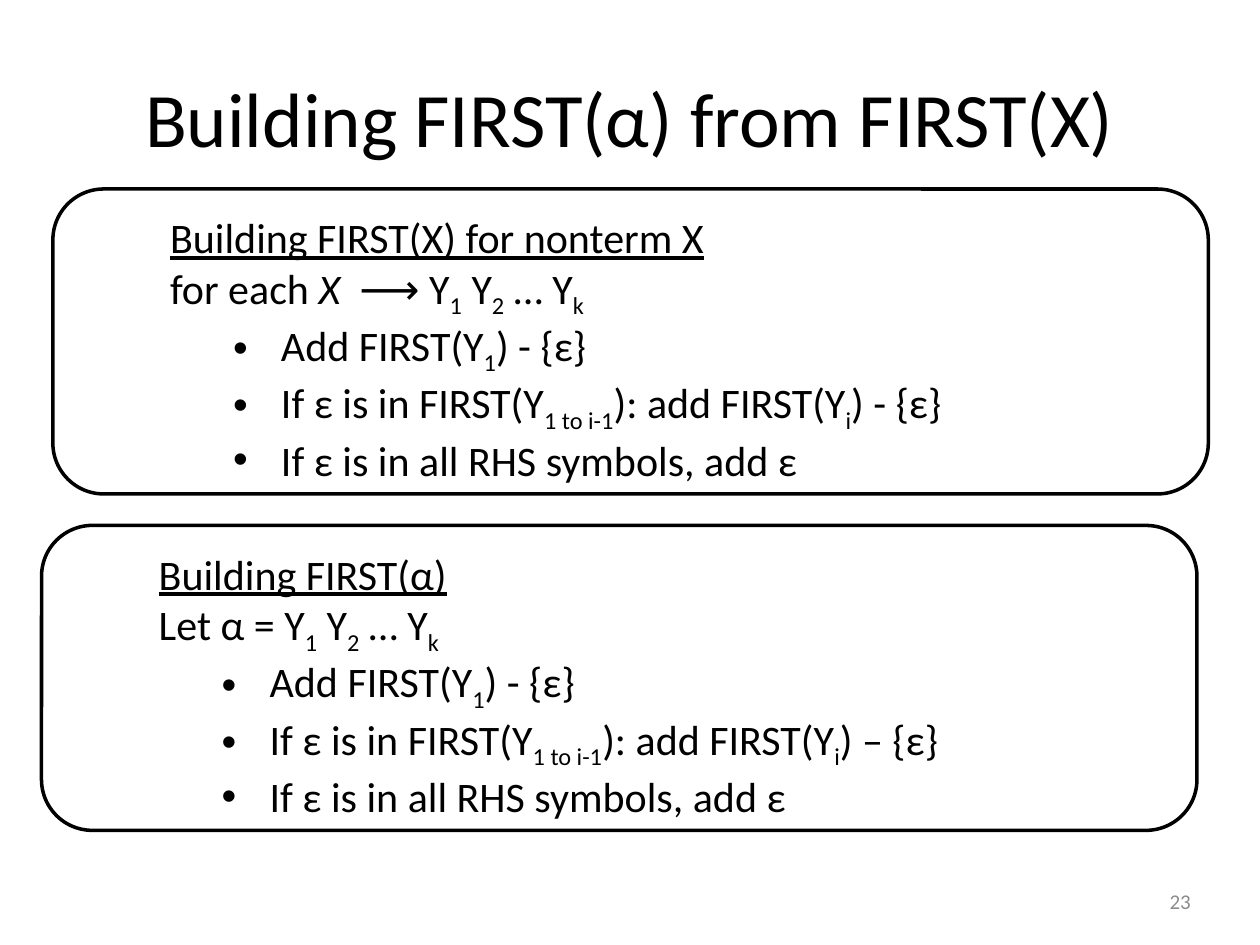
import pptx
import pptx.util
import pptx.dml.color
import pptx.enum.shapes
import pptx.enum.text
import pptx.oxml.ns
import lxml.etree
from dataclasses import dataclass

Inches = pptx.util.Inches
Anchor = pptx.enum.text.MSO_ANCHOR
Align = pptx.enum.text.PP_ALIGN


@dataclass(frozen=True)
class Theme:
    """Colours, font and type sizes of the slide."""
    ink: str = "000000"
    paper: str = "FFFFFF"
    muted: str = "8C8C8C"
    font: str = "Calibri"
    title_size: int = 44
    body_size: int = 24
    number_size: int = 12
    outline: int = 2


theme = Theme()


def style(span, size, colour=theme.ink):
    """Set the font, size and colour of a run."""
    span.font.name = theme.font
    span.font.size = pptx.util.Pt(size)
    span.font.color.rgb = pptx.dml.color.RGBColor.from_string(colour)


def set_bullet(para, bullet):
    """Indent a paragraph and give it a bullet, or remove both."""
    props = para._p.get_or_add_pPr()
    props.set("marL", str(Inches(0.88) if bullet else 0))
    props.set("indent", str(Inches(-0.38) if bullet else 0))
    tag = pptx.oxml.ns.qn
    if bullet:
        lxml.etree.SubElement(props, tag("a:buFont")).set("typeface", "Arial")
        lxml.etree.SubElement(props, tag("a:buChar")).set("char", bullet)
    else:
        lxml.etree.SubElement(props, tag("a:buNone"))


deck = pptx.Presentation()
deck.slide_width, deck.slide_height = Inches(10), Inches(7.5)
page = deck.slides.add_slide(deck.slide_layouts.get_by_name("Two Content"))
title, *bodies = page.placeholders

title.left, title.top = Inches(0.5), Inches(0.3)
title.width, title.height = Inches(9), Inches(1.25)
title.text_frame.text = "Building FIRST(α) from FIRST(X)"
title.text_frame.vertical_anchor = Anchor.MIDDLE
title.text_frame.paragraphs[0].alignment = Align.CENTER
style(title.text_frame.paragraphs[0].runs[0], theme.title_size)

# Within a line, every second piece between bars is a subscript; X stands alone in italics.
symbols = "Y|1| Y|2| … Y|k"
rules = [
    # panel left, panel top, heading, opening pieces, minus sign
    (0.42, 1.5, "Building FIRST(X) for nonterm X", ["for each ", "X", "  ⟶ " + symbols], "-"),
    (0.33, 4.17, "Building FIRST(α)", ["Let α = " + symbols], "–"),
]

for body, (left, top, heading, opening, minus) in zip(bodies, rules):
    panel = page.shapes.add_shape(
        pptx.enum.shapes.MSO_SHAPE.ROUNDED_RECTANGLE,
        Inches(left), Inches(top), Inches(9.17), Inches(2.42))
    panel.shadow.inherit = False
    panel.fill.solid()
    panel.fill.fore_color.rgb = pptx.dml.color.RGBColor.from_string(theme.paper)
    panel.line.color.rgb = pptx.dml.color.RGBColor.from_string(theme.ink)
    panel.line.width = pptx.util.Pt(theme.outline)
    body.element.addprevious(panel.element)

    body.left, body.top = Inches(left + 0.83), Inches(top + 0.13)
    body.width, body.height = Inches(7.73), Inches(2.12)
    frame = body.text_frame
    frame.word_wrap = True
    frame.auto_size = pptx.enum.text.MSO_AUTO_SIZE.SHAPE_TO_FIT_TEXT
    lines = [
        [heading],
        opening,
        ["Add FIRST(Y|1|) - {ε}"],
        [f"If ε is in FIRST(Y|1 to i-1|): add FIRST(Y|i|) {minus} {{ε}}"],
        ["If ε is in all RHS symbols, add ε"],
    ]
    for row, pieces in enumerate(lines):
        para = frame.paragraphs[0] if row == 0 else frame.add_paragraph()
        para.level = 1 if row >= 2 else 0
        para.space_before = pptx.util.Pt(0)
        set_bullet(para, "•" if row >= 2 else None)
        for piece in pieces:
            for order, text in enumerate(piece.split("|")):
                span = para.add_run()
                span.text = text
                style(span, theme.body_size)
                if row == 0:
                    span.font.underline = True
                if text == "X":
                    span.font.italic = True
                if order % 2:
                    span.font._element.set("baseline", "-25000")

number = page.shapes.add_textbox(Inches(7.22), Inches(6.95), Inches(2.33), Inches(0.4))
number.text_frame.word_wrap = True
number.text_frame.text = "23"
number.text_frame.vertical_anchor = Anchor.MIDDLE
number.text_frame.paragraphs[0].alignment = Align.RIGHT
style(number.text_frame.paragraphs[0].runs[0], theme.number_size, theme.muted)

deck.save("out.pptx")
